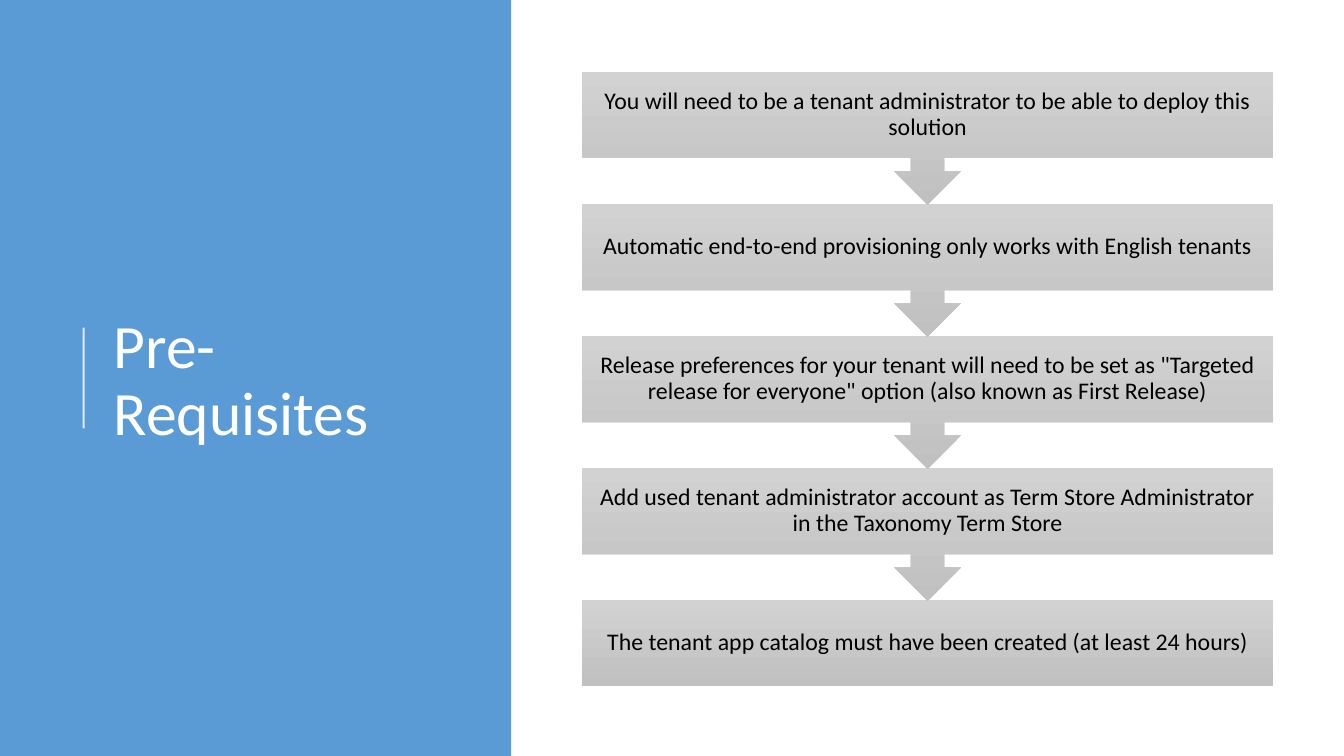
from dataclasses import dataclass

from lxml import etree
from pptx import Presentation
from pptx.dml.color import RGBColor
from pptx.enum.shapes import MSO_CONNECTOR, MSO_SHAPE
from pptx.enum.text import MSO_ANCHOR, PP_ALIGN
from pptx.oxml.ns import qn
from pptx.util import Inches, Pt

RECTANGLE = MSO_SHAPE.RECTANGLE
ARROW_CALLOUT = MSO_SHAPE.DOWN_ARROW_CALLOUT
STRAIGHT = MSO_CONNECTOR.STRAIGHT
MIDDLE = MSO_ANCHOR.MIDDLE
LEFT, CENTER = PP_ALIGN.LEFT, PP_ALIGN.CENTER


@dataclass(frozen=True)
class Theme:
    """Colours, font and type sizes of the slide."""
    panel: RGBColor = RGBColor(0x5B, 0x9B, 0xD5)
    light: RGBColor = RGBColor(0xFF, 0xFF, 0xFF)
    dark: RGBColor = RGBColor(0, 0, 0)
    step_top: RGBColor = RGBColor(0xD2, 0xD2, 0xD2)
    step_bottom: RGBColor = RGBColor(0xC0, 0xC0, 0xC0)
    font: str = "Calibri"
    title_size: Pt = Pt(44)
    step_size: Pt = Pt(17)


def write(shape, text, size, color, alignment, inset):
    """Put one vertically centred paragraph into a shape."""
    frame = shape.text_frame
    frame.word_wrap = True
    frame.vertical_anchor = MIDDLE
    frame.margin_left = frame.margin_right = inset
    frame.margin_top = frame.margin_bottom = inset
    paragraph = frame.paragraphs[0]
    paragraph.text = text
    paragraph.alignment = alignment
    paragraph.line_spacing = 0.9
    paragraph.font.name = theme.font
    paragraph.font.size = size
    paragraph.font.color.rgb = color


theme = Theme()
presentation = Presentation()
presentation.slide_width = Inches(13.33)
presentation.slide_height = Inches(7.5)
slide = presentation.slides.add_slide(presentation.slide_layouts[6])
shapes = slide.shapes

# Title panel
panel = shapes.add_shape(RECTANGLE, 0, 0, Inches(5.07), presentation.slide_height)
panel.shadow.inherit = False
panel.fill.solid()
panel.fill.fore_color.rgb = theme.panel
panel.line.fill.background()

title = shapes.add_textbox(Inches(1.03), Inches(0.78), Inches(3.69), Inches(6.02))
write(title, "Pre-Requisites", theme.title_size, theme.light, LEFT, Inches(0.1))

rule = shapes.add_connector(STRAIGHT, Inches(0.83), Inches(4.25), Inches(0.83), Inches(3.25))
rule.line.color.rgb = theme.light
rule.line.width = Pt(1.5)
rule_color = rule.line._ln.find(".//" + qn("a:srgbClr"))
etree.SubElement(rule_color, qn("a:alpha"), val="80000")
etree.SubElement(rule._element.spPr, qn("a:effectLst"))

# Steps: every one but the last points to the next
STEPS = [
    "You will need to be a tenant administrator to be able to deploy this solution",
    "Automatic end-to-end provisioning only works with English tenants",
    'Release preferences for your tenant will need to be set as "Targeted '
    'release for everyone" option (also known as First Release)',
    "Add used tenant administrator account as Term Store Administrator "
    "in the Taxonomy Term Store",
    "The tenant app catalog must have been created (at least 24 hours)",
]
STEP_LEFT, STEP_TOP, STEP_WIDTH = Inches(5.77), Inches(0.71), Inches(6.86)
STEP_PITCH, BOX_HEIGHT, CALLOUT_HEIGHT = Inches(1.31), Inches(0.86), Inches(1.32)

# The last step goes first, so each arrow tip lies over the box below it
for row, text in reversed(list(enumerate(STEPS))):
    is_last = row == len(STEPS) - 1
    step = shapes.add_shape(
        RECTANGLE if is_last else ARROW_CALLOUT,
        STEP_LEFT, STEP_TOP + row * STEP_PITCH,
        STEP_WIDTH, BOX_HEIGHT if is_last else CALLOUT_HEIGHT)
    step.shadow.inherit = False
    step.line.fill.background()
    step.fill.gradient()
    step.fill.gradient_angle = 270
    for stop, color in zip(step.fill.gradient_stops, (theme.step_top, theme.step_bottom)):
        stop.color.rgb = color
    write(step, text, theme.step_size, theme.dark, CENTER, Inches(0.13))

presentation.save("out.pptx")
